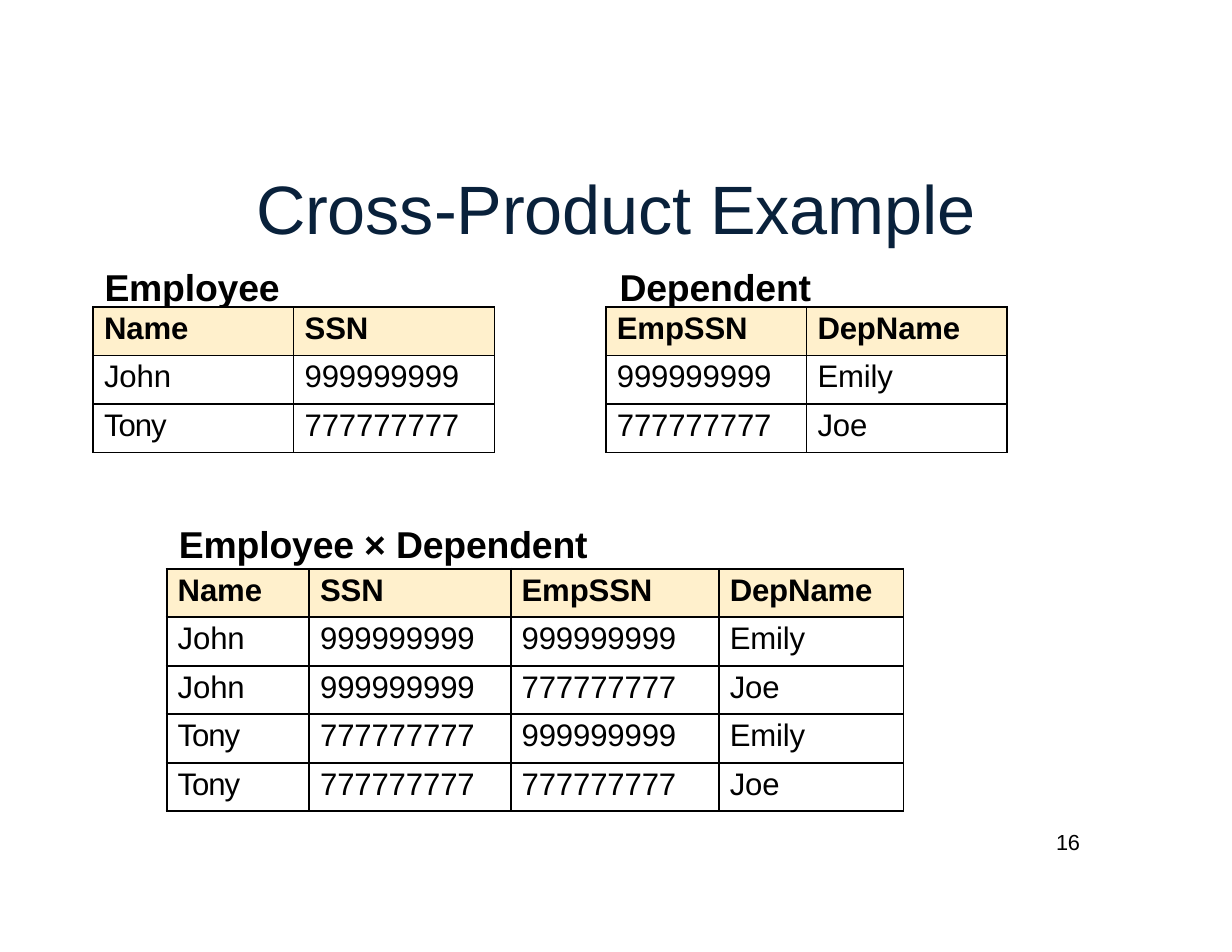
from lxml import etree
from pptx import Presentation
from pptx.dml.color import RGBColor
from pptx.enum.text import MSO_ANCHOR, MSO_AUTO_SIZE, PP_ALIGN
from pptx.oxml.ns import qn
from pptx.util import Cm, Pt

BLACK = RGBColor(0x00, 0x00, 0x00)
NAVY = RGBColor(0x09, 0x21, 0x3B)
CREAM = RGBColor(0xFF, 0xF0, 0xCC)
TOP = MSO_ANCHOR.TOP
NO_FIT = MSO_AUTO_SIZE.NONE
LEFT, CENTER = PP_ALIGN.LEFT, PP_ALIGN.CENTER

TITLE = {"size": Pt(44), "bold": False}
CAPTION = {"size": Pt(24), "bold": True}
HEADER = {"size": Pt(20), "bold": True}
BODY = {"size": Pt(20), "bold": False}
NUMBER = {"size": Pt(14), "bold": False}

ROW_HEIGHT = 1.1
EMPLOYEE = [("Name", "SSN"), ("John", "999999999"), ("Tony", "777777777")]
DEPENDENT = [("EmpSSN", "DepName"), ("999999999", "Emily"), ("777777777", "Joe")]
PRODUCT = [EMPLOYEE[0] + DEPENDENT[0]] + [
    employee + dependent for employee in EMPLOYEE[1:] for dependent in DEPENDENT[1:]
]


def write(paragraph, text, style, color=BLACK, spacing=-10):
    run = paragraph.add_run()
    run.text = text
    for key, value in {"name": "Arial", **style}.items():
        setattr(run.font, key, value)
    run.font.color.rgb = color
    run._r.get_or_add_rPr().set("spc", str(spacing))


def set_frame(frame, top_inset):
    values = {
        "margin_left": 0, "margin_right": 0, "margin_bottom": 0,
        "margin_top": Cm(top_inset), "word_wrap": True,
        "auto_size": NO_FIT, "vertical_anchor": TOP,
    }
    for key, value in values.items():
        setattr(frame, key, value)


def place_heading(slide, left, top, width, height):
    heading = slide.shapes.title
    heading.left, heading.top = Cm(left), Cm(top)
    heading.width, heading.height = Cm(width), Cm(height)
    frame = heading.text_frame
    set_frame(frame, 0.89)

    title = frame.paragraphs[0]
    title.alignment = CENTER
    title._p.get_or_add_pPr().set("marL", str(Cm(3.4)))
    write(title, "Cross-Product Example", TITLE, NAVY)

    captions = frame.add_paragraph()
    captions.alignment = LEFT
    captions.space_before = Pt(10.4)
    properties = captions._p.get_or_add_pPr()
    properties.set("marL", str(Cm(0.03)))
    tabs = etree.SubElement(properties, qn("a:tabLst"))
    etree.SubElement(tabs, qn("a:tab"), pos=str(Cm(11.68)), algn="l")
    write(captions, "Employee\tDependent", CAPTION)


def place_text(slide, text, style, left, top, width, height):
    frame = slide.shapes.add_textbox(Cm(left), Cm(top), Cm(width), Cm(height)).text_frame
    set_frame(frame, 0)
    write(frame.paragraphs[0], text, style)


def set_borders(cell, widths):
    properties = cell._tc.get_or_add_tcPr()
    for side, width in widths.items():
        line = etree.SubElement(properties, qn(f"a:ln{side}"), w=str(Pt(width)))
        fill = etree.SubElement(line, qn("a:solidFill"))
        etree.SubElement(fill, qn("a:srgbClr"), val=str(BLACK))


def place_relation(slide, rows, left, top, widths, grid=1, left_edge=1, right_edge=1):
    table = slide.shapes.add_table(
        len(rows), len(widths), Cm(left), Cm(top),
        Cm(sum(widths)), Cm(ROW_HEIGHT * len(rows)),
    ).table
    table.first_row = table.horz_banding = False
    for column, width in zip(table.columns, widths):
        column.width = Cm(width)
    for r, values in enumerate(rows):
        table.rows[r].height = Cm(ROW_HEIGHT)
        for c, value in enumerate(values):
            cell = table.cell(r, c)
            cell.margin_left, cell.margin_top = Cm(0.25), Cm(0.1)
            cell.margin_right = cell.margin_bottom = 0
            set_borders(cell, {
                "L": left_edge if c == 0 else grid,
                "R": right_edge if c == len(widths) - 1 else grid,
                "T": grid,
                "B": grid,
            })
            if r == 0:
                cell.fill.solid()
                cell.fill.fore_color.rgb = CREAM
            else:
                cell.fill.background()
            write(cell.text_frame.paragraphs[0], value, BODY if r else HEADER,
                  spacing=-70 if value == "Tony" else -10)


def main():
    deck = Presentation()
    deck.slide_width, deck.slide_height = Cm(27.94), Cm(21.59)
    slide = deck.slides.add_slide(deck.slide_layouts.get_by_name("Title Only"))

    place_heading(slide, 2.34, 2.87, 19.86, 3.99)
    place_relation(slide, EMPLOYEE, 2.11, 6.96, [4.55, 4.55], left_edge=1.5)
    place_relation(slide, DEPENDENT, 13.74, 6.96, [4.55, 4.55])
    place_text(slide, "Employee × Dependent", CAPTION, 4.06, 11.81, 9.6, 1)
    place_relation(slide, PRODUCT, 3.78, 12.9, [3.23, 4.57, 4.72, 4.19],
                   grid=1.5, left_edge=1.5)
    place_text(slide, "16", NUMBER, 23.95, 18.8, 0.7, 0.6)

    deck.save("out.pptx")


if __name__ == "__main__":
    main()
